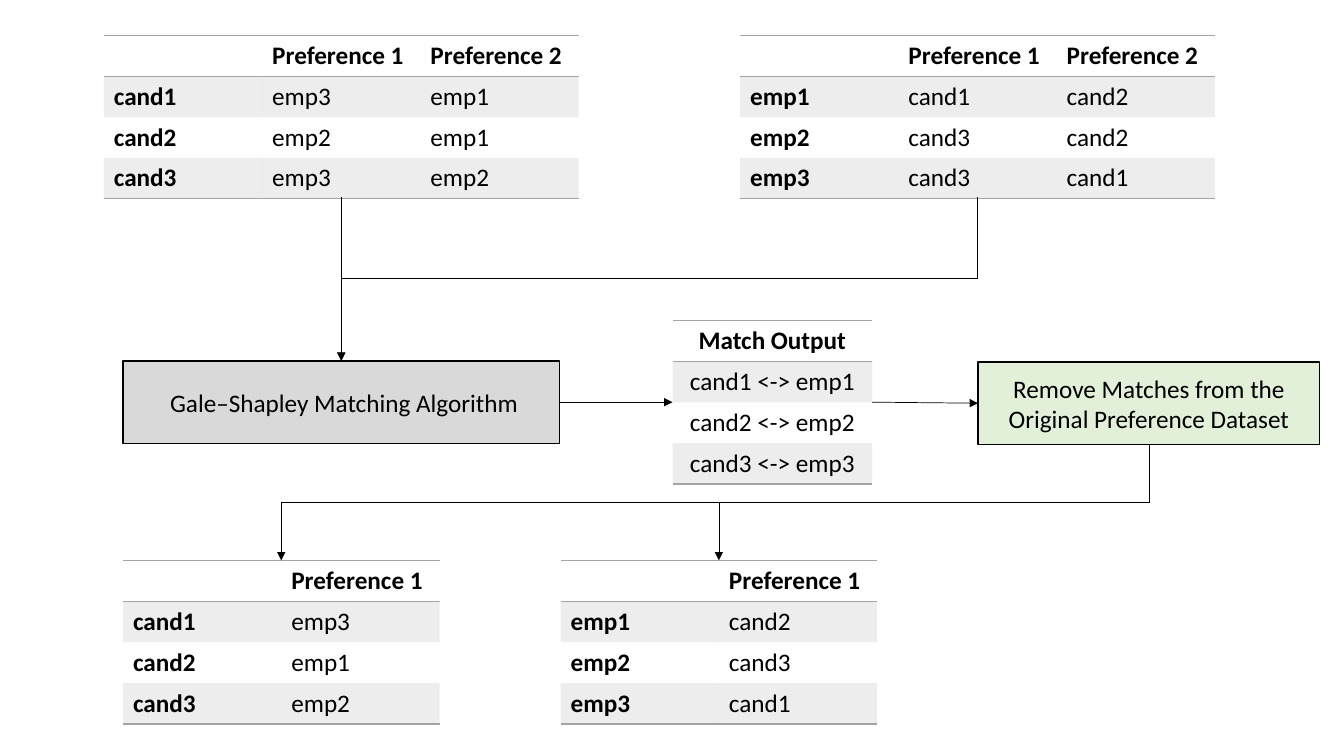
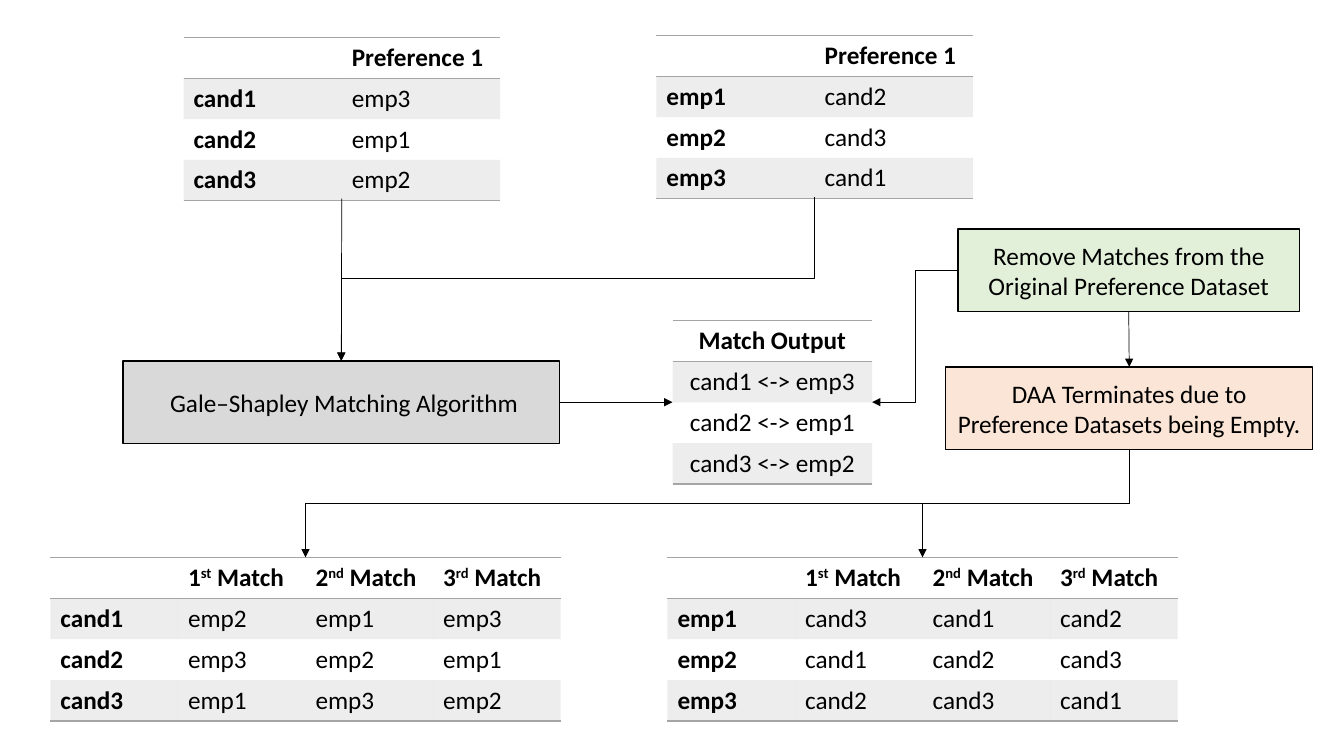
from dataclasses import dataclass

from lxml import etree
from pptx import Presentation
from pptx import util as u
from pptx.dml.color import RGBColor
from pptx.enum import shapes, text
from pptx.oxml import ns

INK, RULE = "000000", "A5A5A5"
GREY, GREEN, PEACH = "D9D9D9", "E2F0D9", "FBE5D6"
FONT = {"name": "Calibri", "size": u.Pt(18)}
PLAIN_TABLE = "{2D5ABB26-0587-4C30-8999-92F81FD0307C}"
MATCH_HEADS = ["", "1^st^ Match", "2^nd^ Match", "3^rd^ Match"]
REMOVE = "Remove Matches from the Original Preference Dataset"


@dataclass
class Box:
    left: float
    top: float
    width: float
    height: float

    def inches(self):
        return [u.Inches(n) for n in (self.left, self.top, self.width, self.height)]

    def at(self, across, down):
        """Point at the given fractions of the width and height."""
        return self.left + across * self.width, self.top + down * self.height


LEFT, RIGHT, TOP, BOTTOM = (0, 0.5), (1, 0.5), (0.5, 0), (0.5, 1)


def color(code):
    return RGBColor.from_string(code)


def xml(parent, tag, **attributes):
    return etree.SubElement(parent, ns.qn(tag), **attributes)


def write(frame, wording, bold=False, align=text.PP_ALIGN.LEFT):
    """Parts between carets are superscript."""
    paragraph = frame.paragraphs[0]
    paragraph.alignment = align
    for index, part in enumerate(wording.split("^") if wording else []):
        run = paragraph.add_run()
        run.text = part
        for key, value in {**FONT, "bold": bold}.items():
            setattr(run.font, key, value)
        run.font.color.rgb = color(INK)
        if index % 2:
            run.font._element.set("baseline", "30000")


def step(slide, box, wording, fill):
    """Filled process box."""
    process = slide.shapes.add_shape(shapes.MSO_SHAPE.RECTANGLE, *box.inches())
    process.shadow.inherit = False
    process.fill.solid()
    process.fill.fore_color.rgb = color(fill)
    process.line.color.rgb = color(INK)
    process.line.width = u.Pt(1)
    process.text_frame.word_wrap = True
    process.text_frame.vertical_anchor = text.MSO_ANCHOR.MIDDLE
    write(process.text_frame, wording, align=text.PP_ALIGN.CENTER)
    return box


def rule_cell(cell, sides):
    for side in sides:
        edge = xml(cell._tc.get_or_add_tcPr(), "a:ln" + side, w=str(u.Pt(1)))
        xml(xml(edge, "a:solidFill"), "a:srgbClr", val=RULE)


def grid(slide, box, rows, align=text.PP_ALIGN.LEFT):
    """Ruled table with a bold header and shaded odd rows."""
    table = slide.shapes.add_table(len(rows), len(rows[0]), *box.inches()).table
    table.first_row = table.horz_banding = False
    table._tbl.tblPr.find(ns.qn("a:tableStyleId")).text = PLAIN_TABLE
    for r, row in enumerate(rows):
        for c, wording in enumerate(row):
            cell = table.cell(r, c)
            named = len(row) > 1 and c == 0
            write(cell.text_frame, wording, r == 0 or named, align)
            rule_cell(cell, "TB" if r == 0 else "B" if r == len(rows) - 1 else "")
            if r % 2:
                cell.fill.solid()
                cell.fill.fore_color.rgb = color(RULE)
                tint = next(cell._tc.tcPr.iterchildren(ns.qn("a:solidFill")))[0]
                xml(tint, "a:alpha", val="20000")
            else:
                cell.fill.background()
    return box


def named_grid(slide, box, heads, group, other, choices):
    """Rows are group1, group2...; each digit picks a member of the other group."""
    rows = [[f"{group}{n}"] + [other + digit for digit in picks]
            for n, picks in enumerate(choices, 1)]
    return grid(slide, box, [heads] + rows)


def arrow(slide, start, end, kind="STRAIGHT", downward=False):
    """Arrow between two points; a downward elbow leaves vertically to the left."""
    (x1, y1), (x2, y2) = start, end
    if downward:
        mid_x, mid_y = (x1 + x2) / 2, (y1 + y2) / 2
        half_drop, half_run = (y2 - y1) / 2, (x1 - x2) / 2
        x1, x2 = mid_x - half_drop, mid_x + half_drop
        y1, y2 = mid_y - half_run, mid_y + half_run
    link = slide.shapes.add_connector(
        getattr(shapes.MSO_CONNECTOR, kind), *[u.Inches(n) for n in (x1, y1, x2, y2)])
    if downward:
        link._element.spPr.find(ns.qn("a:xfrm")).set("rot", "5400000")
    link.line.color.rgb = color(INK)
    link.line.width = u.Pt(0.5)
    xml(link.line._ln, "a:tailEnd", type="triangle")
    xml(link._element.spPr, "a:effectLst")


def matching(slide, candidates, employers, pairs):
    """Both preference tables feed the algorithm, which yields the matches."""
    algorithm = step(slide, Box(1.22, 3.58, 4.33, 0.82),
                     " Gale–Shapley Matching Algorithm", GREY)
    matches = [[f"cand{n} <-> emp{digit}"] for n, digit in enumerate(pairs, 1)]
    output = grid(slide, Box(6.67, 3.18, 1.98, 1.62),
                  [["Match Output"]] + matches, text.PP_ALIGN.CENTER)
    arrow(slide, employers.at(*BOTTOM), algorithm.at(*TOP), "ELBOW", True)
    arrow(slide, candidates.at(*BOTTOM), algorithm.at(*TOP))
    arrow(slide, algorithm.at(*RIGHT), output.at(*LEFT))
    return output


def table_pair(slide, boxes, heads, cand_choices, emp_choices):
    return (named_grid(slide, boxes[0], heads, "cand", "emp", cand_choices),
            named_grid(slide, boxes[1], heads, "emp", "cand", emp_choices))


def fan_out(slide, source, targets):
    for target in targets:
        arrow(slide, source.at(*BOTTOM), target.at(*TOP), "ELBOW", True)


def first_round(slide):
    inputs = table_pair(slide, [Box(x, 0.35, 4.71, 1.6) for x in (1.03, 7.34)],
                        ["", "Preference 1", "Preference 2"],
                        ["31", "21", "32"], ["12", "32", "31"])
    output = matching(slide, *inputs, "123")
    removal = step(slide, Box(9.7, 3.59, 3.39, 0.82), REMOVE, GREEN)
    arrow(slide, output.at(*RIGHT), removal.at(*LEFT))
    remaining = table_pair(slide, [Box(x, 5.56, 3.14, 1.6) for x in (1.22, 5.56)],
                           ["", "Preference 1"], "312", "231")
    fan_out(slide, removal, remaining)


def final_round(slide):
    inputs = table_pair(slide, [Box(1.82, 0.37, 3.14, 1.6), Box(6.51, 0.35, 3.14, 1.6)],
                        ["", "Preference 1"], "312", "231")
    output = matching(slide, *inputs, "312")
    removal = step(slide, Box(9.5, 2.27, 3.39, 0.82), REMOVE, GREEN)
    ending = step(slide, Box(9.38, 3.64, 3.64, 0.82),
                  "DAA Terminates due to Preference Datasets being Empty.", PEACH)
    arrow(slide, removal.at(*LEFT), output.at(*RIGHT), "ELBOW")
    arrow(slide, removal.at(*BOTTOM), ending.at(*TOP))
    results = table_pair(slide, [Box(x, 5.53, 5.06, 1.6) for x in (0.5, 6.62)],
                         MATCH_HEADS, ["213", "321", "132"], ["312", "123", "231"])
    fan_out(slide, ending, results)


deck = Presentation()
deck.slide_width, deck.slide_height = u.Inches(13.33), u.Inches(7.5)
for build in (first_round, final_round):
    build(deck.slides.add_slide(deck.slide_layouts[6]))
deck.save("out.pptx")
